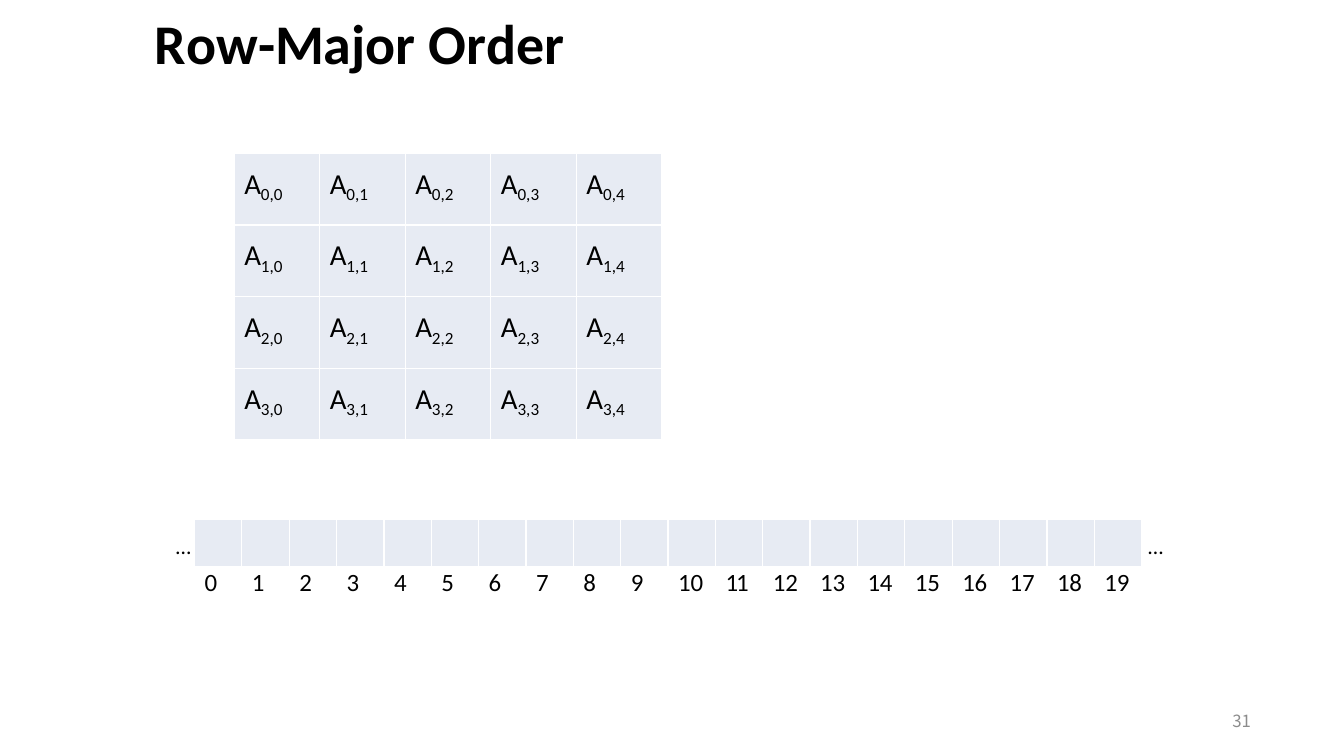
from typing import NamedTuple

from lxml.etree import SubElement
from pptx import Presentation
from pptx.dml.color import RGBColor
from pptx.enum.text import MSO_ANCHOR, MSO_AUTO_SIZE, PP_ALIGN
from pptx.oxml.ns import qn
from pptx.util import Cm, Pt

BLACK = RGBColor(0, 0, 0)
GRAY = RGBColor(0x8C, 0x8C, 0x8C)
WHITE = RGBColor(0xFF, 0xFF, 0xFF)
PALE = RGBColor(0xE7, 0xEB, 0xF3)
FONT = "Calibri"
THIN, THICK = 1, 3.16
CELL_PAD = 0.23


class Box(NamedTuple):
    left: float
    top: float
    width: float
    height: float


class Piece(NamedTuple):
    text: str
    size: float
    gap: float = 0
    rise: int = 0
    bold: bool = False
    color: RGBColor = BLACK
    font: str = FONT


def write(para, pieces: list[Piece], indent: float) -> None:
    para._p.get_or_add_pPr().set("marL", str(Cm(indent)))
    for piece in pieces:
        run = para.add_run()
        run.text = piece.text
        font = run.font
        font.name, font.size, font.bold = piece.font, Pt(piece.size), piece.bold
        font.color.rgb = piece.color
        props = run._r.get_or_add_rPr()
        if piece.gap:
            props.set("spc", str(round(piece.gap * 100)))
        if piece.rise:
            props.set("baseline", str(piece.rise * 1000))


def place(shape, box: Box, anchor: MSO_ANCHOR):
    """Set the place and the frame of a text shape; return its paragraph."""
    shape.left, shape.top, shape.width, shape.height = map(Cm, box)
    frame = shape.text_frame
    frame.word_wrap = True
    frame.auto_size = MSO_AUTO_SIZE.SHAPE_TO_FIT_TEXT
    frame.vertical_anchor = anchor
    frame.margin_left = frame.margin_right = 0
    frame.margin_top = frame.margin_bottom = 0
    return frame.paragraphs[0]


def add_text(slide, box: Box, anchor: MSO_ANCHOR = MSO_ANCHOR.TOP):
    return place(slide.shapes.add_textbox(*map(Cm, box)), box, anchor)


def add_grid(slide, rows: int, cols: int, box: Box):
    table = slide.shapes.add_table(rows, cols, *map(Cm, box)).table
    table.first_row = table.horz_banding = False
    for col in table.columns:
        col.width = round(Cm(box.width) / cols)
    for row in table.rows:
        row.height = round(Cm(box.height) / rows)
    return table


def edge(cell, top: float = THIN, bottom: float = THIN) -> None:
    """Draw the four white borders, with widths in points."""
    props = cell._tc.get_or_add_tcPr()
    widths = {"a:lnL": THIN, "a:lnR": THIN, "a:lnT": top, "a:lnB": bottom}
    for tag, width in widths.items():
        line = SubElement(props, qn(tag), w=str(Pt(width)))
        fill = SubElement(line, qn("a:solidFill"))
        SubElement(fill, qn("a:srgbClr"), val=str(WHITE))


def shade(cell) -> None:
    cell.fill.solid()
    cell.fill.fore_color.rgb = PALE


def fill_text(cell, pieces: list[Piece]) -> None:
    cell.margin_left = cell.margin_right = 0
    cell.margin_top = cell.margin_bottom = 0
    write(cell.text_frame.paragraphs[0], pieces, CELL_PAD)


def add_title(slide) -> None:
    para = place(slide.shapes.title, Box(-2.74, 0.36, 16.84, 1.4), MSO_ANCHOR.MIDDLE)
    para.alignment = PP_ALIGN.LEFT
    para.line_spacing = 0.9
    parts = [("R", -0.9), ("o", -0.7), ("w", -0.3), ("-", 0), ("Ma", -0.2),
             ("j", -0.1), ("o", -0.2), ("r O", -0.1), ("r", 0.5),
             ("de", -0.2), ("r", -0.1)]
    write(para, [Piece(text, 36, gap, bold=True) for text, gap in parts], 6.25)


def add_matrix(slide) -> None:
    rows, cols = 4, 5
    table = add_grid(slide, rows, cols, Box(5.31, 3.48, 9.7, 6.5))
    for i in range(rows):
        for j in range(cols):
            cell = table.cell(i, j)
            edge(cell)
            shade(cell)
            fill_text(cell, [Piece("A", 32, rise=13), Piece(str(i), 11),
                             Piece(",", 11, -0.1), Piece(str(j), 11)])


def add_memory(slide) -> None:
    count = 20
    table = add_grid(slide, 2, count, Box(4.41, 11.79, 21.49, 2.2))
    gaps = {11: -1.2}
    for i in range(count):
        slot, label = table.cell(0, i), table.cell(1, i)
        edge(slot, bottom=THICK)
        shade(slot)
        edge(label, top=THICK)
        label.fill.background()
        gap = gaps.get(i, -0.1 if i >= 10 else 0)
        fill_text(label, [Piece(str(i), 16, gap)])


def add_number(slide) -> None:
    para = add_text(slide, Box(21.51, 15.9, 6.86, 0.91), MSO_ANCHOR.MIDDLE)
    para.alignment = PP_ALIGN.RIGHT
    write(para, [Piece("31", 10.8, color=GRAY, font="Noto Sans CJK SC")], 0.1)


def main() -> None:
    deck = Presentation()
    deck.slide_width, deck.slide_height = Cm(30.48), Cm(17.15)
    slide = deck.slides.add_slide(deck.slide_layouts[5])
    add_title(slide)
    for left in (3.96, 26.01):
        para = add_text(slide, Box(left, 12.09, 0.43, 0.61))
        write(para, [Piece("…", 14)], 0.03)
    add_matrix(slide)
    add_memory(slide)
    add_number(slide)
    deck.save("out.pptx")


if __name__ == "__main__":
    main()
